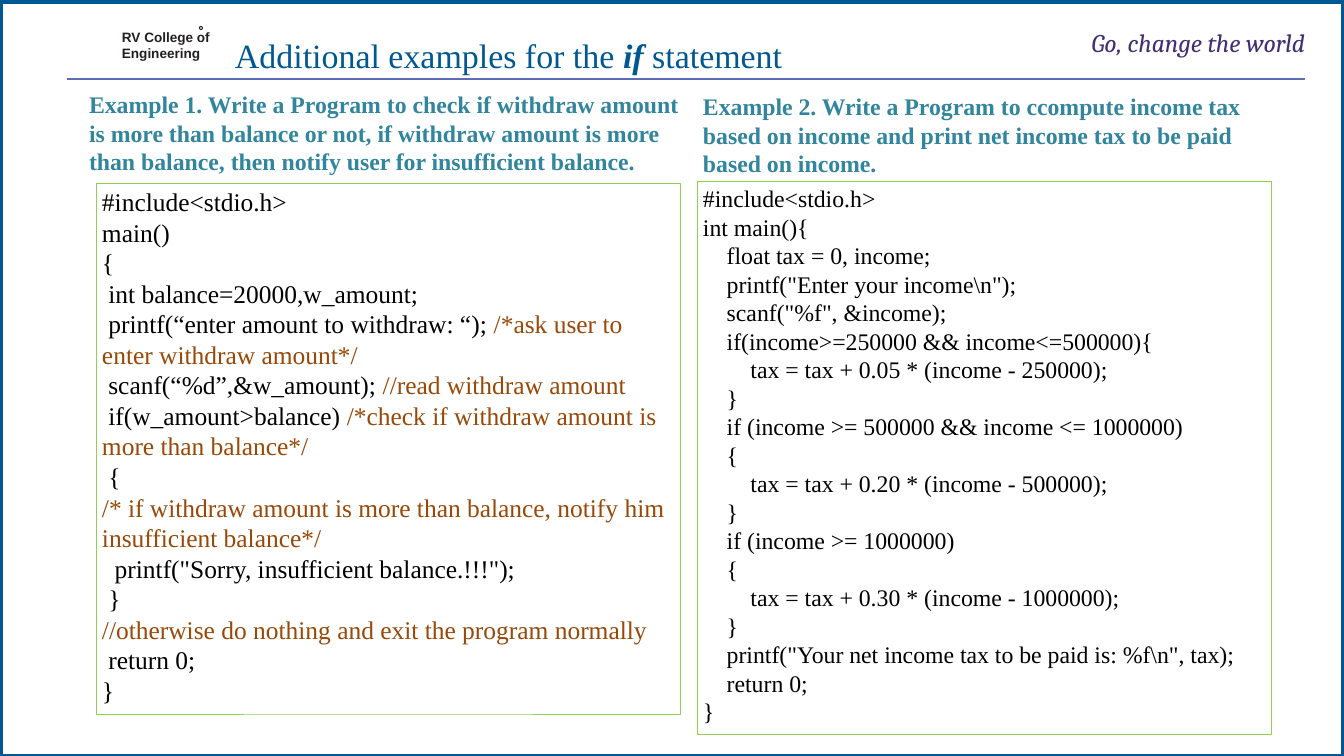
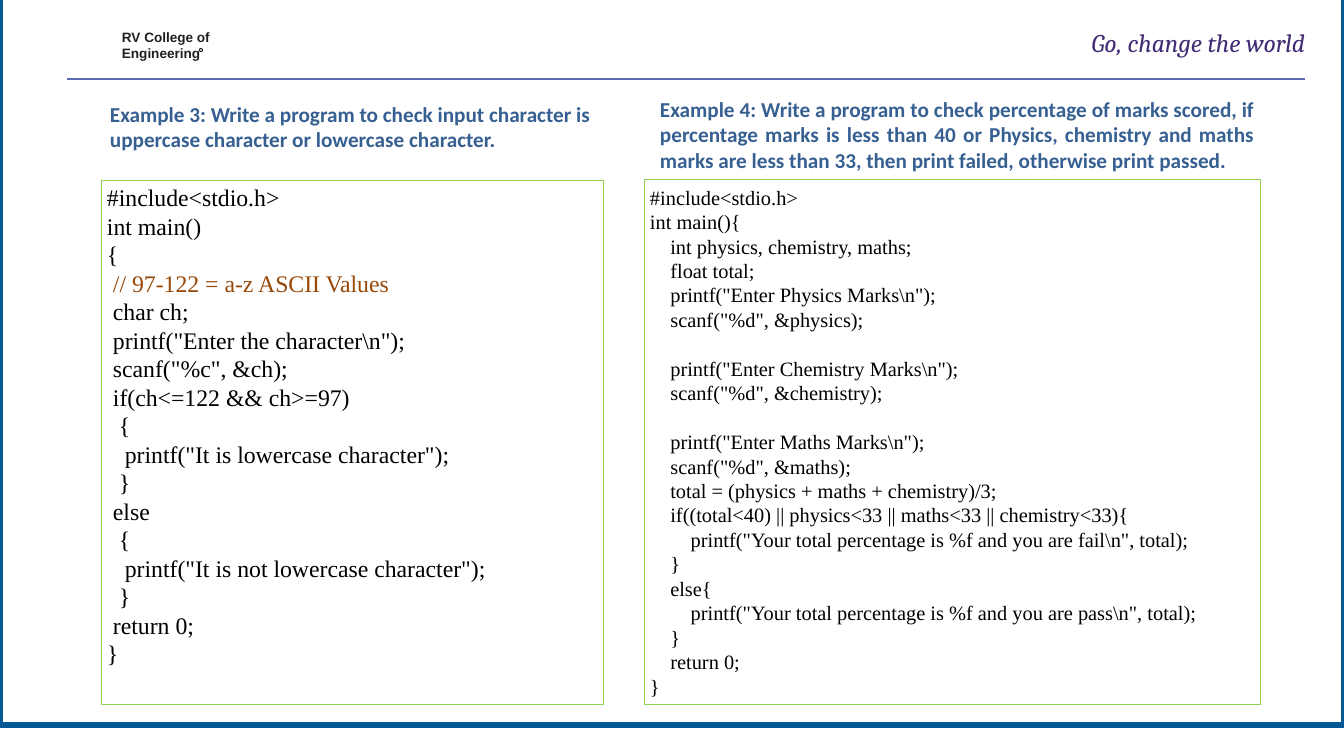
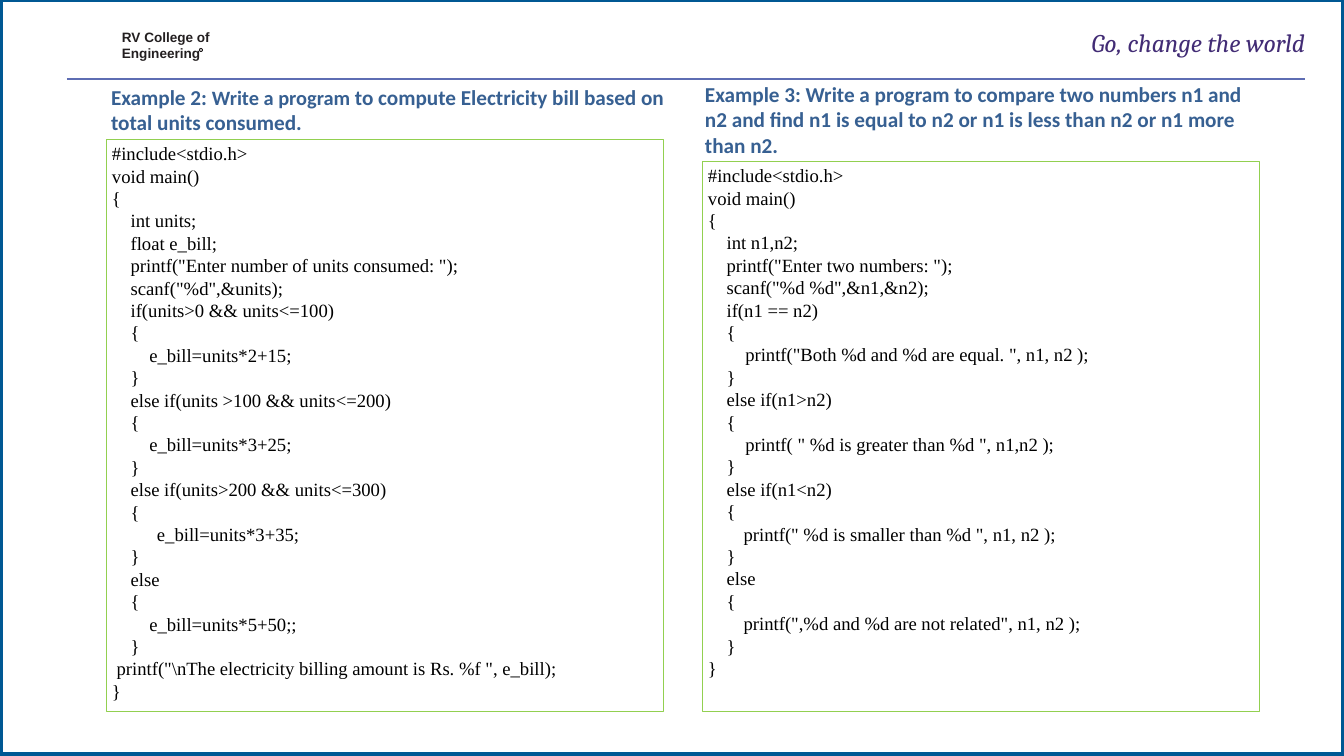
from dataclasses import dataclass

from lxml.etree import SubElement
from pptx import Presentation
from pptx.dml.color import RGBColor
from pptx.enum.shapes import MSO_CONNECTOR as Connector, MSO_SHAPE as Preset
from pptx.enum.text import MSO_ANCHOR as Anchor, PP_ALIGN as Align
from pptx.oxml.ns import qn
from pptx.util import Pt

SCALE = 14962
WIDTH, HEIGHT = 1344, 756
TITLE_ONLY = 5
LINE_PITCH = 1.2
TAB_STOP = 31

BLUE, RULE_BLUE, PURPLE = "005893", "5E6DB3", "422C75"
TEAL, NAVY, GREEN = "31859C", "376092", "92D050"
BLACK, BROWN, INK, WHITE = "000000", "984807", "231F20", "FFFFFF"
SERIF, SANS = "Times New Roman", "Calibri"


@dataclass
class Panel:
    heading: list
    heading_box: tuple
    code: str
    code_box: tuple
    code_size: int
    heading_font: str = SANS
    heading_color: str = NAVY
    heading_align: Align = Align.LEFT
    anchor: Anchor = Anchor.TOP


def px(value):
    return int(value * SCALE)


def place(box):
    return [px(value) for value in box]


def color(value):
    return RGBColor.from_string(value)


def set_font(font, name, size, value, bold=False, italic=False):
    font.name, font.size = name, Pt(size)
    font.bold, font.italic = bold, italic
    font.color.rgb = color(value)


def clear_insets(frame):
    frame.margin_left = frame.margin_right = 0
    frame.margin_top = frame.margin_bottom = 0


def add_box(slide, preset, box, fill=None, line=None, line_width=0.75):
    shape = slide.shapes.add_shape(preset, *place(box))
    shape.shadow.inherit = False
    if fill:
        shape.fill.solid()
        shape.fill.fore_color.rgb = color(fill)
    else:
        shape.fill.background()
    if line:
        shape.line.color.rgb = color(line)
        shape.line.width = Pt(line_width)
    else:
        shape.line.fill.background()
    return shape


def add_text(slide, box, wrap=True):
    frame = slide.shapes.add_textbox(*place(box)).text_frame
    frame.word_wrap = wrap
    return frame


def add_rule(slide, left, right, top):
    rule = slide.shapes.add_connector(
        Connector.STRAIGHT, px(left), px(top), px(right), px(top))
    rule.line.color.rgb = color(RULE_BLUE)
    rule.line.width = Pt(1.25)
    SubElement(rule.element.spPr, qn("a:effectLst"))


def add_motto(slide, box):
    title = slide.shapes.title
    title.element.getparent().append(title.element)
    title.left, title.top, title.width, title.height = place(box)
    frame = title.text_frame
    clear_insets(frame)
    frame.vertical_anchor = Anchor.TOP
    frame.text = "Go, change the world"
    paragraph = frame.paragraphs[0]
    paragraph.alignment = Align.RIGHT
    set_font(paragraph.font, "Cambria", 30, PURPLE, italic=True)


def add_college_name(slide, box):
    frame = add_text(slide, box)
    clear_insets(frame)
    frame.text = "RV College of\nEngineering"
    for index, paragraph in enumerate(frame.paragraphs):
        paragraph.line_spacing = Pt(17.9)
        if index:
            paragraph.space_before = Pt(1.4)
        set_font(paragraph.font, "Arial", 16, INK, bold=True)


def add_base(presentation, frame_top, mark_top):
    slide = presentation.slides.add_slide(presentation.slide_layouts[TITLE_ONLY])
    add_box(slide, Preset.RECTANGLE, (0, frame_top, WIDTH, HEIGHT), WHITE, BLUE, 6)
    add_rule(slide, 67, 1305, 79)
    add_box(slide, Preset.DONUT, (199, mark_top, 4, 4), INK)
    add_college_name(slide, (122, 30, 92, 33))
    add_motto(slide, (1059, 27, 246, 31))
    return slide


def add_topic(slide, box):
    paragraph = add_text(slide, box, wrap=False).paragraphs[0]
    for text, strong in (("Additional examples for the ", False), ("if", True),
                         (" statement", False)):
        run = paragraph.add_run()
        run.text = text
        set_font(run.font, SERIF, 40, BLUE, strong, strong)


def add_heading(slide, panel):
    paragraph = add_text(slide, panel.heading_box).paragraphs[0]
    paragraph.alignment = panel.heading_align
    size = panel.heading[0][1]
    if panel.heading_font == SERIF:
        paragraph.line_spacing = Pt(size * LINE_PITCH)
    set_font(paragraph.font, panel.heading_font, size, panel.heading_color, bold=True)
    for text, run_size in panel.heading:
        run = paragraph.add_run()
        run.text = text
        if run_size != size:
            run.font.size = Pt(run_size)


def split_comment(line):
    starts = [line.find(mark) for mark in ("/*", "//") if mark in line]
    start = min(starts, default=len(line))
    return (line[:start], BLACK), (line[start:], BROWN)


def add_tab_stop(paragraph):
    tabs = SubElement(paragraph._p.get_or_add_pPr(), qn("a:tabLst"))
    SubElement(tabs, qn("a:tab"), pos=str(px(TAB_STOP)), algn="l")


def add_code(slide, panel):
    shape = add_box(slide, Preset.RECTANGLE, panel.code_box, line=GREEN)
    frame = shape.text_frame
    frame.word_wrap = True
    frame.vertical_anchor = panel.anchor
    pitch = panel.code_size * LINE_PITCH
    gap = 0
    for index, line in enumerate(panel.code.strip("\n").split("\n")):
        if not line:
            gap += pitch
            continue
        paragraph = frame.add_paragraph() if index else frame.paragraphs[0]
        paragraph.alignment = Align.LEFT
        paragraph.line_spacing = Pt(pitch)
        if gap:
            paragraph.space_before = Pt(gap)
            gap = 0
        if "\t" in line:
            add_tab_stop(paragraph)
        set_font(paragraph.font, SERIF, panel.code_size, BLACK)
        for text, value in split_comment(line):
            if text:
                run = paragraph.add_run()
                run.text = text
                run.font.color.rgb = color(value)


def add_panels(slide, panels):
    for panel in panels:
        add_code(slide, panel)
        add_heading(slide, panel)


WITHDRAW_CODE = r"""
#include<stdio.h>
main()
{
 int balance=20000,w_amount;
 printf(“enter amount to withdraw: “); /*ask user to enter withdraw amount*/
 scanf(“%d”,&w_amount); //read withdraw amount
 if(w_amount>balance) /*check if withdraw amount is more than balance*/
 {
/* if withdraw amount is more than balance, notify him insufficient balance*/
  printf("Sorry, insufficient balance.!!!");
 }
//otherwise do nothing and exit the program normally
 return 0;
}
"""

TAX_CODE = r"""
#include<stdio.h>
int main(){
    float tax = 0, income;
    printf("Enter your income\n");
    scanf("%f", &income);
    if(income>=250000 && income<=500000){
        tax = tax + 0.05 * (income - 250000);
    }
    if (income >= 500000 && income <= 1000000)
    {
        tax = tax + 0.20 * (income - 500000);
    }
    if (income >= 1000000)
    {
        tax = tax + 0.30 * (income - 1000000);
    }
    printf("Your net income tax to be paid is: %f\n", tax);
    return 0;
}
"""

LETTER_CODE = r"""
#include<stdio.h>
int main()
{
 // 97-122 = a-z ASCII Values
 char ch;
 printf("Enter the character\n");
 scanf("%c", &ch);
 if(ch<=122 && ch>=97)
  {
   printf("It is lowercase character");
  }
 else
  {
   printf("It is not lowercase character");
  }
 return 0;
}
"""

MARKS_CODE = r"""
#include<stdio.h>
int main(){
    int physics, chemistry, maths;
    float total;
    printf("Enter Physics Marks\n");
    scanf("%d", &physics);

    printf("Enter Chemistry Marks\n");
    scanf("%d", &chemistry);

    printf("Enter Maths Marks\n");
    scanf("%d", &maths);
    total = (physics + maths + chemistry)/3;
    if((total<40) || physics<33 || maths<33 || chemistry<33){
        printf("Your total percentage is %f and you are fail\n", total);
    }
    else{
        printf("Your total percentage is %f and you are pass\n", total);
    }
    return 0;
}
"""

BILL_CODE = r"""
#include<stdio.h>
void main()
{
    int units;
    float e_bill;
    printf("Enter number of units consumed: ");
    scanf("%d",&units);
    if(units>0 && units<=100)
    {
        e_bill=units*2+15;
    }
    else if(units >100 && units<=200)
    {
        e_bill=units*3+25;
    }
    else if(units>200 && units<=300)
    {
	   e_bill=units*3+35;
    }
    else
    {
        e_bill=units*5+50;;
    }
 printf("\nThe electricity billing amount is Rs. %f ", e_bill);
}
"""

COMPARE_CODE = r"""
#include<stdio.h>
void main()
{
    int n1,n2;
    printf("Enter two numbers: ");
    scanf("%d %d",&n1,&n2);
    if(n1 == n2)
    {
        printf("Both %d and %d are equal. ", n1, n2 );
    }
    else if(n1>n2)
    {
        printf( " %d is greater than %d ", n1,n2 );
    }
    else if(n1<n2)
    {
	 printf(" %d is smaller than %d ", n1, n2 );
    }
    else
    {
	 printf(",%d and %d are not related", n1, n2 );
    }
}
"""

IF_PANELS = [
    Panel([("Example 1. Write a Program to check if withdraw amount is more than "
            "balance or not, if withdraw amount is more than balance, then notify "
            "user for insufficient balance.", 28)],
          (83, 87, 614, 92), WITHDRAW_CODE, (96, 183, 584, 531), 30, SERIF, TEAL),
    Panel([("Example 2. Write a Program to ccompute income tax based on income and "
            "print net income tax to be paid based on income.", 28)],
          (697, 89, 574, 96), TAX_CODE, (697, 181, 574, 553), 28, SERIF, TEAL),
]

IF_ELSE_PANELS = [
    Panel([("Example 3: Write a program to check input character is uppercase "
            "character or lowercase character.", 25)],
          (104, 98, 502, 57), LETTER_CODE, (101, 180, 502, 524), 28),
    Panel([("Example 4: Write a program to check percentage of marks scored, if "
            "percentage marks is less than 40 or Physics, chemistry and maths marks "
            "are less than 33, then print failed, otherwise print passed.", 25)],
          (654, 93, 606, 83), MARKS_CODE, (644, 179, 616, 525), 24,
          heading_align=Align.JUSTIFY, anchor=Anchor.MIDDLE),
]

ELSE_IF_PANELS = [
    Panel([("Example 2: ", 25), ("Write a program ", 24),
           ("to compute Electricity bill based on total units consumed.", 25)],
          (105, 81, 581, 57), BILL_CODE, (106, 139, 557, 572), 22),
    Panel([("Example 3:", 25), (" ", 24),
           ("Write a program to compare two numbers n1 and n2 and find n1 is equal "
            "to n2 or n1 is less than n2 or n1 more than n2.", 25)],
          (699, 78, 557, 83), COMPARE_CODE, (702, 161, 557, 550), 22),
]


def main():
    presentation = Presentation()
    presentation.slide_width, presentation.slide_height = px(WIDTH), px(HEIGHT)
    slide = add_base(presentation, 1, 26)
    add_panels(slide, IF_PANELS)
    add_topic(slide, (229, 32, 566, 47))
    add_panels(add_base(presentation, -31, 48), IF_ELSE_PANELS)
    add_panels(add_base(presentation, -1, 48), ELSE_IF_PANELS)
    presentation.save("out.pptx")


if __name__ == "__main__":
    main()
